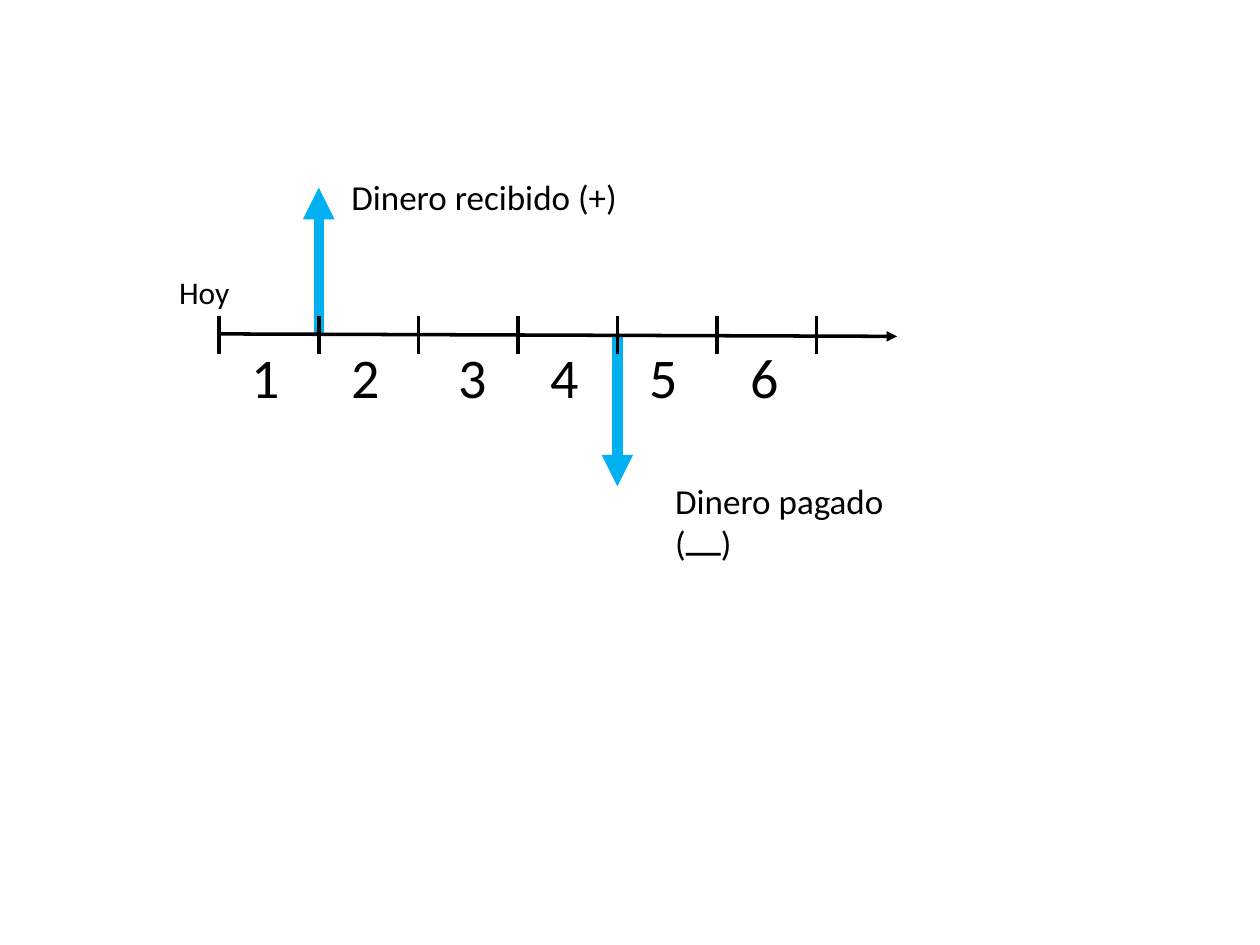
import pptx
import pptx.util
import pptx.dml.color
import pptx.enum.shapes
import pptx.enum.text
import pptx.oxml.ns
import lxml.etree

Inches = pptx.util.Inches
RGB = pptx.dml.color.RGBColor
Align = pptx.enum.text.PP_ALIGN
BLACK = RGB(0, 0, 0)
BLUE = RGB(0x00, 0xB0, 0xF0)

# Timeline grid, in inches
START, STEP, AXIS, END = 1.74, 0.79, 2.66, 7.12
TICK = 0.15
PERIODS = ["1", "2", "3", "4", "5", "6"]
SHIFTS = [0, 0, 0.06, 0, 0, 0.01]  # offset of each number in its period
FLOWS = [(1, 1.49), (4, 3.86)]  # period mark, arrow tip
# text, left, top, width, height, size, alignment, wrap
LABELS = [
    ("Hoy", 1.31, 2.12, 0.61, 0.4, 18, Align.RIGHT, False),
    ("Dinero recibido (+)", 2.69, 1.34, 2.33, 0.44, 20, Align.LEFT, False),
    ("Dinero pagado (\u23bc)", 5.26, 3.76, 2.25, 0.44, 20, Align.LEFT, True),
]


def add_line(slide, x1, y1, x2, y2, color, width, arrow=False):
    """Draw a straight line, with an arrowhead at its end if asked."""
    line = slide.shapes.add_connector(
        pptx.enum.shapes.MSO_CONNECTOR.STRAIGHT,
        Inches(x1), Inches(y1), Inches(x2), Inches(y2))
    line.line.color.rgb = color
    line.line.width = pptx.util.Pt(width)
    qn = pptx.oxml.ns.qn
    if arrow:
        ln = line.line._get_or_add_ln()
        lxml.etree.SubElement(ln, qn("a:tailEnd"), type="triangle")
    lxml.etree.SubElement(line._element.spPr, qn("a:effectLst"))


def add_label(slide, text, left, top, width, height, size,
              align=Align.LEFT, wrap=False):
    """Place one line of black Calibri text."""
    box = slide.shapes.add_textbox(
        Inches(left), Inches(top), Inches(width), Inches(height))
    frame = box.text_frame
    frame.word_wrap = wrap
    frame.auto_size = pptx.enum.text.MSO_AUTO_SIZE.SHAPE_TO_FIT_TEXT
    para = frame.paragraphs[0]
    para.text = text
    para.alignment = align
    para.font.name = "Calibri"
    para.font.size = pptx.util.Pt(size)
    para.font.color.rgb = BLACK


def main():
    """Build the cash flow timeline."""
    deck = pptx.Presentation()
    deck.slide_width, deck.slide_height = Inches(10), Inches(7.5)
    slide = deck.slides.add_slide(deck.slide_layouts[6])
    for mark, tip in FLOWS:
        x = START + mark * STEP
        add_line(slide, x, AXIS, x, tip, BLUE, 6, arrow=True)
    add_line(slide, START, AXIS - 0.01, END, AXIS + 0.01, BLACK, 2, arrow=True)
    for mark in range(len(PERIODS) + 1):
        x = START + mark * STEP
        add_line(slide, x, AXIS + TICK, x, AXIS - TICK, BLACK, 2)
    for mark, (text, shift) in enumerate(zip(PERIODS, SHIFTS)):
        left = START + mark * STEP + 0.16 + shift
        add_label(slide, text, left, AXIS + 0.01, 0.43, 0.64, 32)
    for label in LABELS:
        add_label(slide, *label)
    deck.save("out.pptx")


main()
